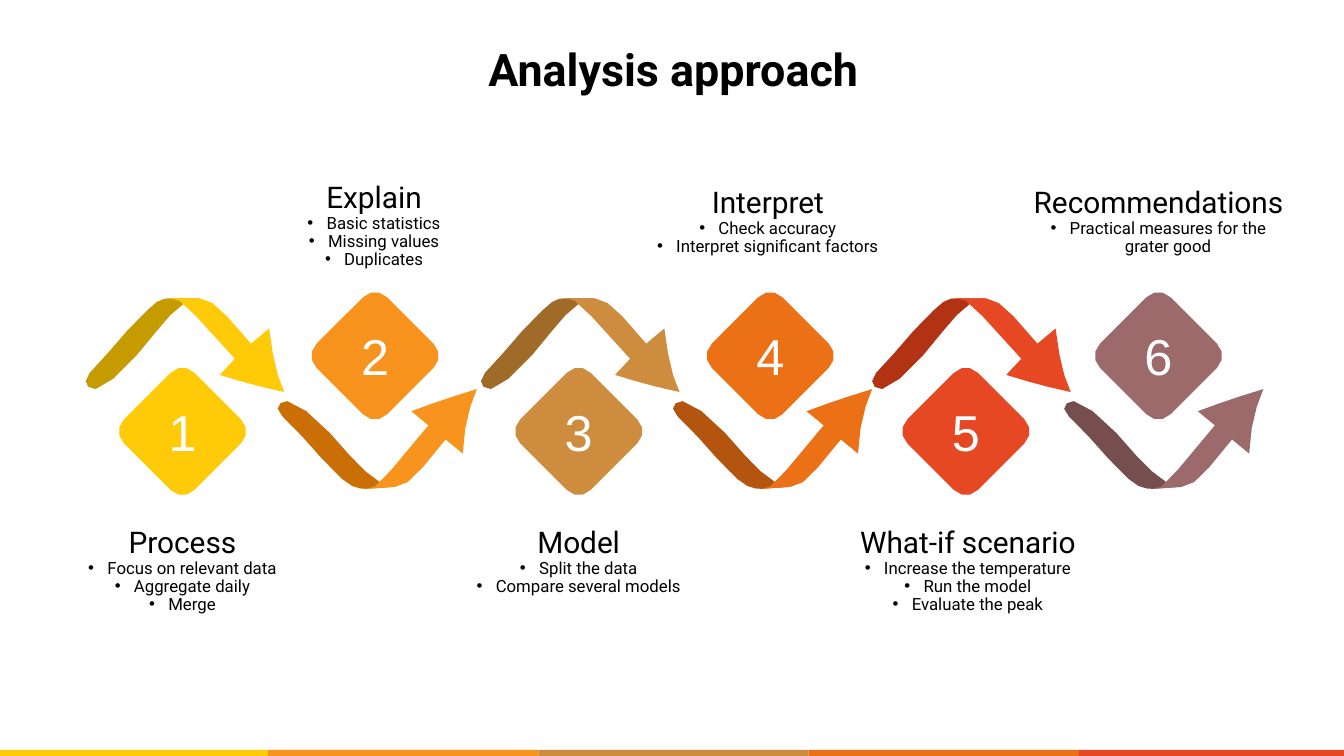
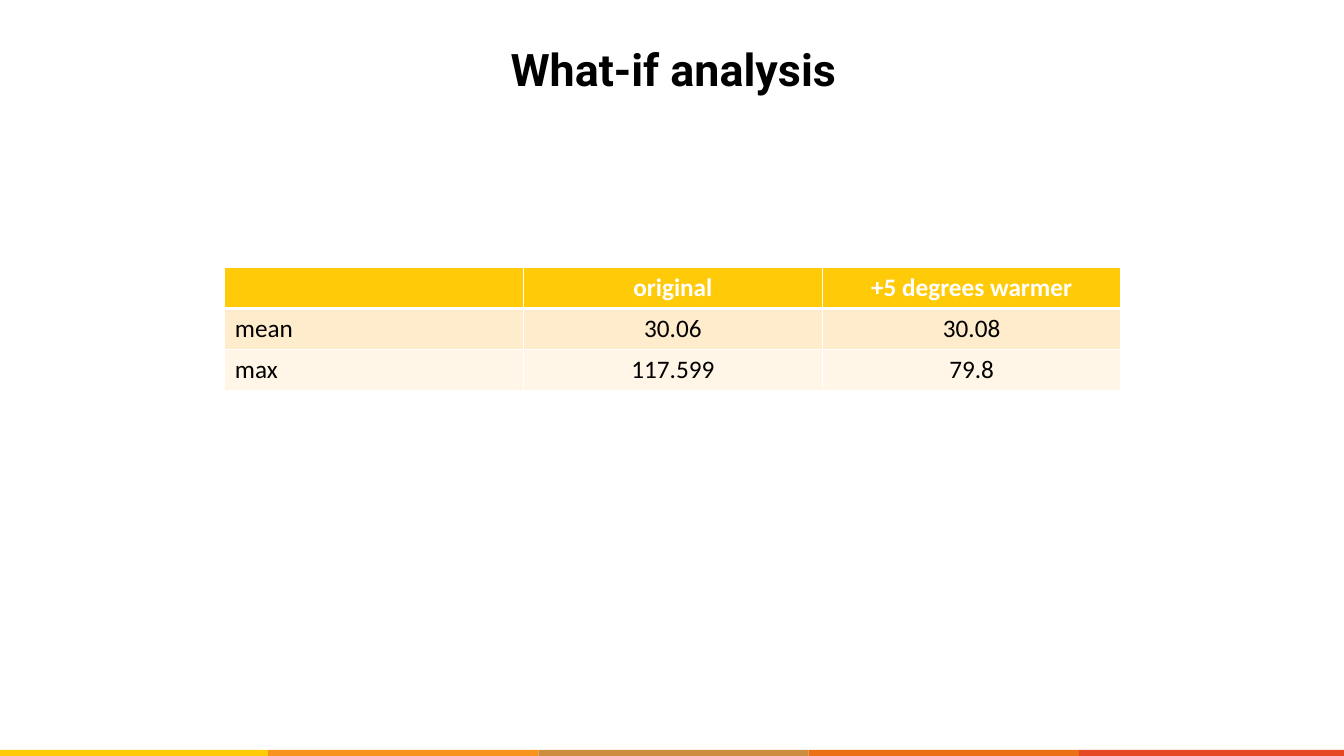
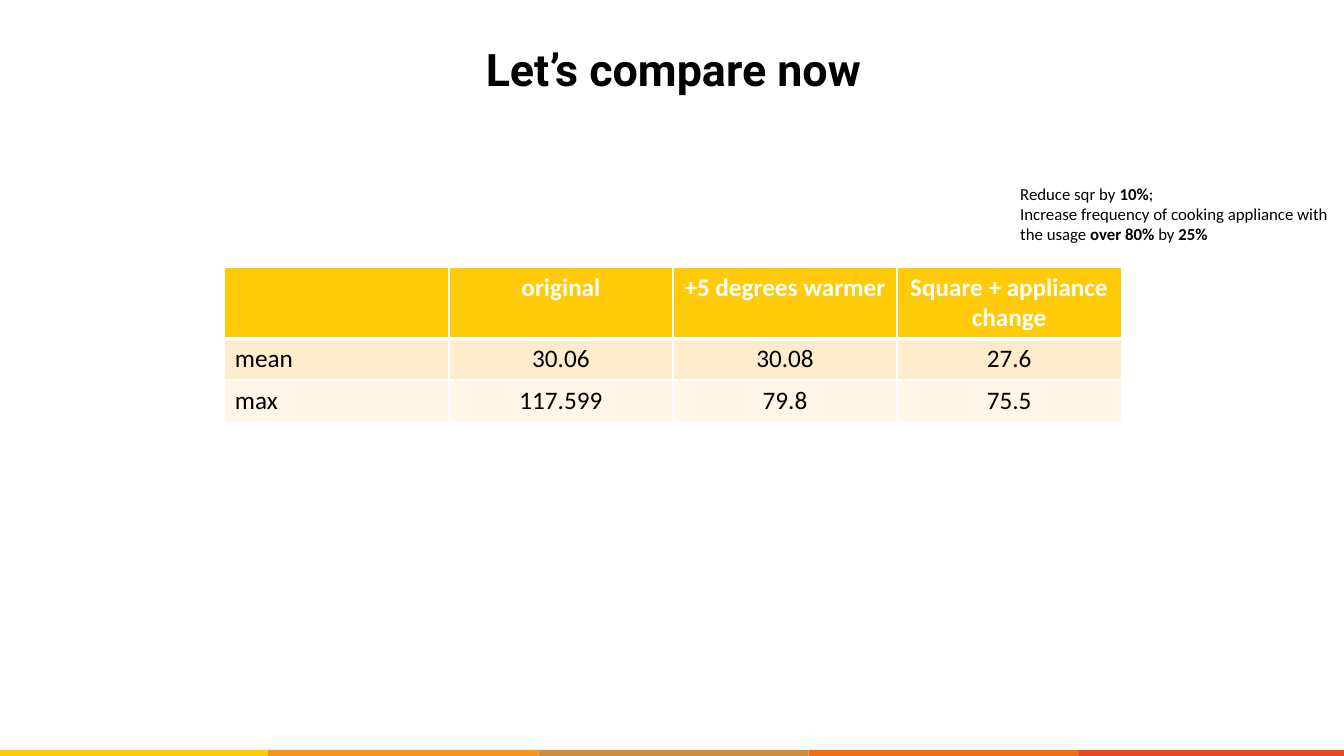
import dataclasses

import lxml.etree
import pptx
import pptx.dml.color
import pptx.enum.shapes
import pptx.enum.text
import pptx.oxml.ns
import pptx.util

Inches = pptx.util.Inches
Pt = pptx.util.Pt
RGB = pptx.dml.color.RGBColor.from_string
qn = pptx.oxml.ns.qn
ALIGN = pptx.enum.text.PP_ALIGN
MIDDLE = pptx.enum.text.MSO_ANCHOR.MIDDLE
CURVE_STEPS = 3


@dataclasses.dataclass(frozen=True)
class Theme:
    black: str = "000000"
    white: str = "FFFFFF"
    accents: tuple = ("FFCA08", "F8931D", "CE8D3E", "EC7016", "E64823", "9C6A6A")
    shades: tuple = ("C59B00", "CA6F06", "A06A29", "B3540F", "B23214", "764E4E")
    body_rows: tuple = ("FFECCC", "FFF6E7")
    title_font: str = "Roboto"
    number_font: str = "Arial"
    table_font: str = "Calibri"
    title_size: float = 32
    number_size: float = 36
    heading_size: float = 21.3
    table_size: float = 18
    small_size: float = 12


theme = Theme()


def add_run(p, text, font, size, color, bold=False):
    r = p.add_run()
    r.text = text
    r.font.name = font
    r.font.size = Pt(size)
    r.font.bold = bold
    r.font.color.rgb = RGB(color)


def add_outline(slide, outline, left, top, fill):
    """Draw an outline of lines (one point) and Bezier curves (three points)."""
    (start,), *segments = outline
    points = [start]
    for segment in segments:
        if len(segment) == 1:
            points.append(segment[0])
            continue
        a, (b, c, d) = points[-1], segment
        for step in range(1, CURVE_STEPS + 1):
            t = step / CURVE_STEPS
            u = 1 - t
            points.append([u**3 * a[k] + 3 * u * u * t * b[k] + 3 * u * t * t * c[k] + t**3 * d[k]
                           for k in (0, 1)])
    points = [(Inches(left + x), Inches(top + y)) for x, y in points]
    builder = slide.shapes.build_freeform(*points[0])
    builder.add_line_segments(points[1:], close=True)
    sp = builder.convert_to_shape()
    sp.shadow.inherit = False
    sp.fill.solid()
    sp.fill.fore_color.rgb = RGB(fill)
    sp.line.fill.background()
    return sp


prs = pptx.Presentation()
prs.slide_width = Inches(13.33)
prs.slide_height = Inches(7.5)

# Titled slides
slides = []
for title in ("Analysis approach", "What-if analysis", "Let’s compare now"):
    slide = prs.slides.add_slide(prs.slide_layouts[5])
    sp = slide.shapes.title
    sp.left, sp.top, sp.width, sp.height = Inches(0.93), Inches(0.4), Inches(11.5), Inches(0.56)
    tf = sp.text_frame
    tf.vertical_anchor = MIDDLE
    tf.auto_size = pptx.enum.text.MSO_AUTO_SIZE.NONE
    tf.margin_left = tf.margin_right = Inches(0.24)
    tf.margin_top = tf.margin_bottom = Inches(0.12)
    p = tf.paragraphs[0]
    p.alignment = ALIGN.CENTER
    add_run(p, title, theme.title_font, theme.title_size, theme.black, True)
    slides.append(slide)
approach, what_if, compare = slides

# Footer band, moved to the master so that every slide shows it
for i, color in enumerate(theme.accents[:5]):
    sp = approach.shapes.add_shape(pptx.enum.shapes.MSO_SHAPE.RECTANGLE,
                                   Inches(-0.02 + 2.68 * i), Inches(7.44), Inches(2.68), Inches(0.1))
    sp.shadow.inherit = False
    sp.fill.solid()
    sp.fill.fore_color.rgb = RGB(color)
    sp.line.fill.background()
    prs.slide_master.shapes.element.append(sp.element)

# Outlines: (tail, head) of the two ribbon arrows, and the rounded diamond
DOWN_ARROW = (
    [[(0.87, 0)],
     [(0.83, 0), (0.76, 0), (0.65, 0.12)],
     [(0.43, 0.32), (0.28, 0.54), (0.08, 0.74)],
     [(0, 0.83), (0.05, 0.9), (0.14, 0.9)],
     [(0.26, 0.9), (0.59, 0.53), (0.74, 0.33)],
     [(0.88, 0.16), (1.01, 0), (1.17, 0)]],
    [[(1.37, 0.76)],
     [(1.52, 0.6)],
     [(0.98, 0), (0.98, 0), (0.87, 0)],
     [(1.17, 0)],
     [(1.31, 0.02), (1.38, 0.1), (1.68, 0.45)],
     [(1.86, 0.3)],
     [(1.89, 0.57), (1.94, 0.79), (2.01, 0.93)],
     [(1.73, 0.87), (1.6, 0.83), (1.37, 0.76)]],
)
UP_ARROW = (
    [[(0.92, 0.99)],
     [(0.87, 0.99), (0.79, 0.99), (0.68, 0.89)],
     [(0.47, 0.7), (0.3, 0.46), (0.09, 0.27)],
     [(0, 0.19), (0.06, 0.12), (0.14, 0.12)],
     [(0.27, 0.12), (0.61, 0.47), (0.76, 0.66)],
     [(0.92, 0.83), (1.06, 0.97), (1.21, 0.97)]],
    [[(1.37, 0.22)],
     [(1.54, 0.36)],
     [(1.02, 0.99), (1.02, 0.99), (0.92, 0.99)],
     [(1.21, 0.97)],
     [(1.34, 0.96), (1.42, 0.86), (1.71, 0.5)],
     [(1.88, 0.64)],
     [(1.89, 0.37), (1.95, 0.16), (2.02, 0)],
     [(1.73, 0.09), (1.61, 0.13), (1.37, 0.22)]],
)
DIAMOND = [
    [(0.51, 0.05)],
    [(0.58, -0.02), (0.68, -0.02), (0.75, 0.05)],
    [(1.21, 0.51)],
    [(1.28, 0.58), (1.28, 0.68), (1.21, 0.75)],
    [(0.75, 1.21)],
    [(0.68, 1.28), (0.58, 1.28), (0.51, 1.21)],
    [(0.05, 0.75)],
    [(-0.02, 0.68), (-0.02, 0.58), (0.05, 0.51)],
]

# Steps: arrow left, diamond left, text box (left, top, width), heading, bullets
STEPS = [
    (0.81, 1.18, (0.59, 5.19, 2.44), "Process",
     ["Focus on relevant data", "Aggregate daily", "Merge"]),
    (2.71, 3.09, (2.49, 1.77, 2.44), "Explain",
     ["Basic statistics", "Missing values", "Duplicates"]),
    (4.73, 5.11, (4.52, 5.19, 2.44), "Model",
     ["Split the data", "Compare several models"]),
    (6.63, 7.01, (6.29, 1.82, 2.65), "Interpret",
     ["Check accuracy", "Interpret significant factors"]),
    (8.61, 8.95, (8.38, 5.19, 2.44), "What-if scenario",
     ["Increase the temperature", "Run the model", "Evaluate the peak"]),
    (10.51, 10.86, (10.09, 1.82, 2.8), "Recommendations",
     ["Practical measures for the grater good"]),
]
for i, (arrow_left, diamond_left, (left, top, width), heading, bullets) in enumerate(STEPS):
    accent, shade = theme.accents[i], theme.shades[i]
    (tail, head), arrow_top, diamond_top = ((DOWN_ARROW, 2.96, 3.65), (UP_ARROW, 3.86, 2.9))[i % 2]
    add_outline(approach, tail, arrow_left, arrow_top, shade)
    add_outline(approach, head, arrow_left, arrow_top, accent)

    # Numbered diamond
    sp = add_outline(approach, DIAMOND, diamond_left, diamond_top, accent)
    sp.text_frame.vertical_anchor = MIDDLE
    p = sp.text_frame.paragraphs[0]
    p.alignment = ALIGN.CENTER
    add_run(p, str(i + 1), theme.number_font, theme.number_size, theme.white)

    # Heading and bullets
    height = 0.98 if len(bullets) == 3 else 0.8
    sp = approach.shapes.add_textbox(Inches(left), Inches(top), Inches(width), Inches(height))
    tf = sp.text_frame
    tf.word_wrap = True
    tf.auto_size = pptx.enum.text.MSO_AUTO_SIZE.SHAPE_TO_FIT_TEXT
    tf.margin_left = tf.margin_right = Inches(0.13)
    tf.margin_top, tf.margin_bottom = Inches(0.05), Inches(0.07)
    p = tf.paragraphs[0]
    p.alignment = ALIGN.CENTER
    p.line_spacing = 0.89
    add_run(p, heading, theme.title_font, theme.heading_size, theme.black)
    for bullet in bullets:
        p = tf.add_paragraph()
        p.alignment = ALIGN.CENTER
        p.line_spacing = 0.89
        add_run(p, bullet, theme.title_font, theme.small_size, theme.black)
        pPr = p._p.get_or_add_pPr()
        pPr.set("marL", str(Inches(0.19)))
        pPr.set("indent", str(-Inches(0.19)))
        lxml.etree.SubElement(pPr, qn("a:buFont")).set("typeface", "Arial")
        lxml.etree.SubElement(pPr, qn("a:buChar")).set("char", "•")

# Result tables
WHAT_IF_ROWS = [
    ["", "original", "+5 degrees warmer"],
    ["mean", "30.06", "30.08"],
    ["max", "117.599", "79.8"],
]
CHANGES = ["Square + appliance change", "27.6", "75.5"]
COMPARE_ROWS = [row + [value] for row, value in zip(WHAT_IF_ROWS, CHANGES)]
for slide, rows in ((what_if, WHAT_IF_ROWS), (compare, COMPARE_ROWS)):
    table = slide.shapes.add_table(len(rows), len(rows[0]), Inches(2.23), Inches(2.65),
                                   Inches(8.89), Inches(0.41 * len(rows))).table
    for i, row in enumerate(rows):
        table.rows[i].height = Inches(0.41)
        for j, text in enumerate(row):
            cell = table.cell(i, j)
            tcPr = cell._tc.get_or_add_tcPr()
            for side in "LRTB":
                weight = 3 if (i, side) in ((0, "B"), (1, "T")) else 1
                ln = lxml.etree.SubElement(tcPr, qn(f"a:ln{side}"))
                ln.set("w", str(Pt(weight)))
                fill = lxml.etree.SubElement(ln, qn("a:solidFill"))
                lxml.etree.SubElement(fill, qn("a:srgbClr")).set("val", theme.white)
            cell.fill.solid()
            cell.fill.fore_color.rgb = RGB(theme.body_rows[i - 1] if i else theme.accents[0])
            if text:
                p = cell.text_frame.paragraphs[0]
                p.alignment = ALIGN.CENTER if j else ALIGN.LEFT
                add_run(p, text, theme.table_font, theme.table_size,
                        theme.black if i else theme.white, i == 0)

# Note on the compared change: (text, bold) runs for each paragraph
NOTE = [
    [("Reduce sqr by ", False), ("10%", True), (";", False)],
    [("Increase frequency of cooking appliance with the usage ", False),
     ("over 80% ", True), ("by ", False), ("25%", True)],
]
sp = compare.shapes.add_textbox(Inches(10.02), Inches(1.77), Inches(3.32), Inches(0.71))
tf = sp.text_frame
tf.word_wrap = True
tf.auto_size = pptx.enum.text.MSO_AUTO_SIZE.SHAPE_TO_FIT_TEXT
for i, runs in enumerate(NOTE):
    p = tf.add_paragraph() if i else tf.paragraphs[0]
    for text, bold in runs:
        add_run(p, text, theme.table_font, theme.small_size, theme.black, bold)

prs.save("out.pptx")
